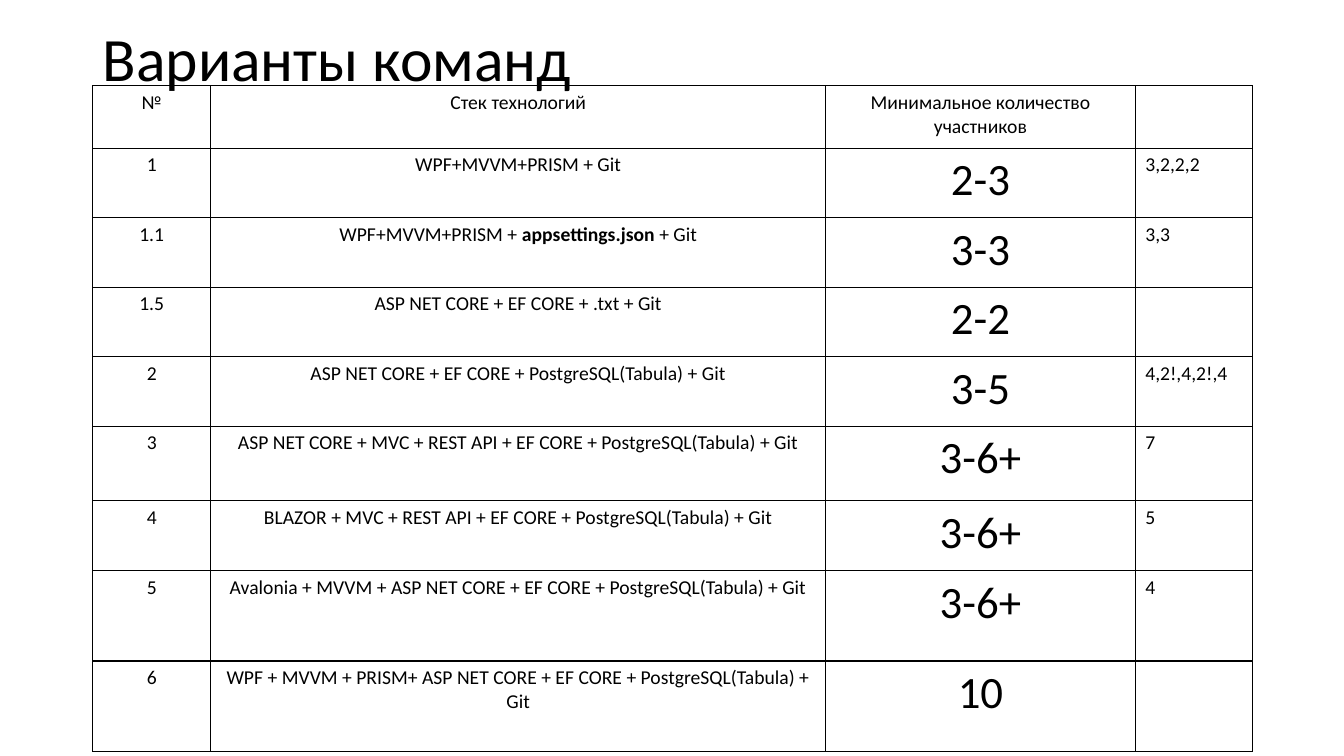
from pptx import Presentation
from pptx.dml.color import RGBColor
from pptx.enum.text import MSO_ANCHOR, MSO_AUTO_SIZE, PP_ALIGN
from pptx.oxml import parse_xml
from pptx.oxml.ns import nsdecls
from pptx.util import Inches, Pt

COLORS = {"text": "000000", "border": "000000"}
FONT = "Calibri"
TITLE_SIZE = 44
BODY_SIZE = 14
COUNT_SIZE = 32
COUNT_COLUMN = 2
TAKEN_COLUMN = 3

COLUMN_WIDTHS = [1.17, 6.1, 3.07, 1.16]
ROW_HEIGHTS = [0.62] + [0.69] * 4 + [0.74, 0.69, 0.9, 0.9]
BOLD_WORD = "appsettings.json "
DATABASE = "EF CORE + PostgreSQL(Tabula) + Git"
TEAMS = [
    ("№", "Стек технологий", "Минимальное количество участников", ""),
    ("1", "WPF+MVVM+PRISM + Git", "2-3", "3,2,2,2"),
    ("1.1", f"WPF+MVVM+PRISM + {BOLD_WORD}+ Git", "3-3", "3,3"),
    ("1.5", "ASP NET CORE + EF CORE + .txt + Git", "2-2", ""),
    ("2", f"ASP NET CORE + {DATABASE}", "3-5", "4,2!,4,2!,4"),
    ("3", f"ASP NET CORE + MVC + REST API + {DATABASE}", "3-6+", "7"),
    ("4", f"BLAZOR + MVC + REST API + {DATABASE}", "3-6+", "5"),
    ("5", f"Avalonia + MVVM + ASP NET CORE + {DATABASE}", "3-6+", "4"),
    ("6", f"WPF + MVVM + PRISM+ ASP NET CORE + {DATABASE}", "10", ""),
]


def add_run(paragraph, text, size, bold=False):
    run = paragraph.add_run()
    run.text = text
    run.font.name = FONT
    run.font.size = Pt(size)
    run.font.bold = bold
    run.font.color.rgb = RGBColor.from_string(COLORS["text"])


def set_title(slide, text):
    title = slide.shapes.title
    title.left, title.top = Inches(0.92), Inches(0.18)
    title.width, title.height = Inches(11.5), Inches(0.86)
    frame = title.text_frame
    frame.word_wrap = True
    frame.auto_size = MSO_AUTO_SIZE.NONE
    frame.vertical_anchor = MSO_ANCHOR.MIDDLE
    paragraph = frame.paragraphs[0]
    paragraph.alignment = PP_ALIGN.LEFT
    paragraph.line_spacing = 0.9
    add_run(paragraph, text, TITLE_SIZE)


def set_borders(cell):
    properties = cell._tc.get_or_add_tcPr()
    for side in ("lnL", "lnR", "lnT", "lnB"):
        properties.append(parse_xml(
            f'<a:{side} {nsdecls("a")} w="{Pt(1)}"><a:solidFill>'
            f'<a:srgbClr val="{COLORS["border"]}"/></a:solidFill></a:{side}>'
        ))


def fill_cell(cell, text, size, alignment):
    set_borders(cell)
    cell.fill.background()
    paragraph = cell.text_frame.paragraphs[0]
    paragraph.alignment = alignment
    before, bold, after = text.partition(BOLD_WORD)
    for part in (before, bold, after):
        if part:
            add_run(paragraph, part, size, bold=part == BOLD_WORD)
    if not text:
        paragraph.font.size = Pt(size)


def add_team_table(slide):
    table = slide.shapes.add_table(
        len(TEAMS), len(COLUMN_WIDTHS), Inches(0.92), Inches(0.85),
        Inches(sum(COLUMN_WIDTHS)), Inches(sum(ROW_HEIGHTS)),
    ).table
    table.first_row = False
    table.horz_banding = False
    for column, width in zip(table.columns, COLUMN_WIDTHS):
        column.width = Inches(width)
    for row, height in zip(table.rows, ROW_HEIGHTS):
        row.height = Inches(height)
    for row_index, team in enumerate(TEAMS):
        for column_index, text in enumerate(team):
            is_count = row_index > 0 and column_index == COUNT_COLUMN
            is_taken = column_index == TAKEN_COLUMN
            fill_cell(
                table.cell(row_index, column_index), text,
                COUNT_SIZE if is_count else BODY_SIZE,
                PP_ALIGN.LEFT if is_taken else PP_ALIGN.CENTER,
            )


def main():
    presentation = Presentation()
    presentation.slide_width = Inches(13.33)
    presentation.slide_height = Inches(7.5)
    slide = presentation.slides.add_slide(presentation.slide_layouts[5])
    set_title(slide, "Варианты команд")
    add_team_table(slide)
    presentation.save("out.pptx")


if __name__ == "__main__":
    main()
